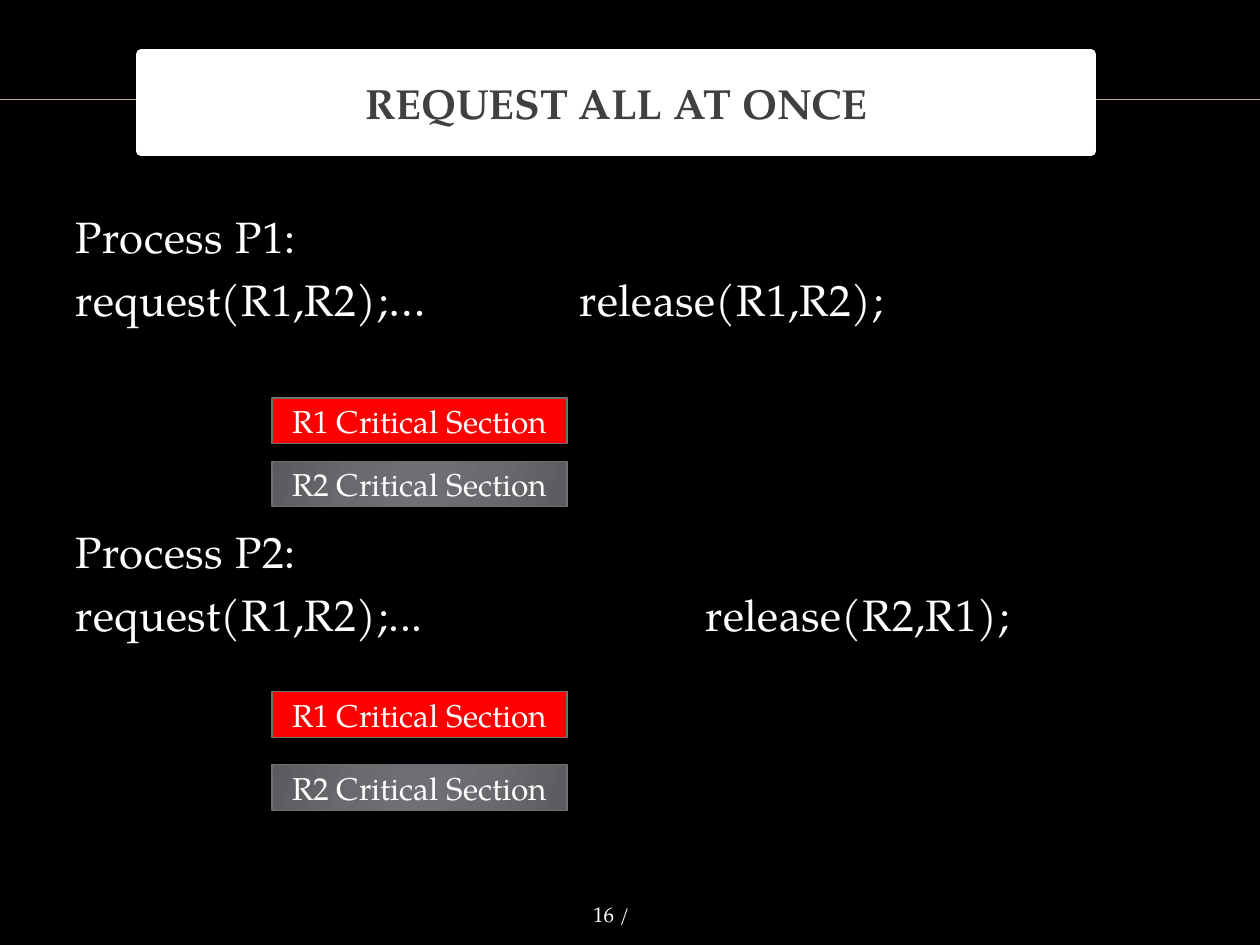
from lxml.etree import SubElement
from pptx import Presentation
from pptx.dml.color import RGBColor
from pptx.enum.shapes import MSO_CONNECTOR, MSO_SHAPE
from pptx.enum.text import MSO_ANCHOR, MSO_AUTO_SIZE, PP_ALIGN
from pptx.oxml import parse_xml
from pptx.oxml.ns import nsdecls, qn
from pptx.util import Pt

FONT = "TeX Gyre Pagella"
WHITE, RED, EDGE = "FFFFFF", "FF0000", "6F6F74"
GREY_STOPS = [(0, "5B5B5F"), (30, "6A6A6F"), (45, "6E6E75"),
              (55, "6E6E75"), (73, "6A6A6F"), (100, "5B5B5F")]


def color(hex_value):
    return RGBColor.from_string(hex_value)


def paint(shape, fill, line, width):
    shape.fill.solid()
    shape.fill.fore_color.rgb = color(fill)
    shape.line.color.rgb = color(line)
    shape.line.width = Pt(width)


def add_run(paragraph, text, size, hex_value=WHITE, bold=False):
    run = paragraph.add_run()
    run.text = text
    run.font.name = FONT
    run.font.size = Pt(size)
    run.font.bold = bold
    run.font.color.rgb = color(hex_value)
    return run


def add_text_box(slide, left, top, width, height):
    box = slide.shapes.add_textbox(Pt(left), Pt(top), Pt(width), Pt(height))
    box.text_frame.word_wrap = True
    return box.text_frame


def add_title(slide, left, top, width, height):
    # Rule across the slide, behind the title plate
    rule = slide.shapes.add_connector(
        MSO_CONNECTOR.STRAIGHT, 0, Pt(56.9), Pt(720), Pt(56.9))
    rule.line.color.rgb = color("BBAA8A")
    rule.line.width = Pt(1)
    SubElement(rule._element.spPr, qn("a:effectLst"))

    # Title plate, moved in front of the rule
    title = slide.shapes.title
    slide.shapes._spTree.append(title._element)
    title.left, title.top = Pt(left), Pt(top)
    title.width, title.height = Pt(width), Pt(height)
    paint(title, WHITE, WHITE, 6)
    frame = title.text_frame
    frame.auto_size = MSO_AUTO_SIZE.NONE
    frame.vertical_anchor = MSO_ANCHOR.MIDDLE
    paragraph = frame.paragraphs[0]
    paragraph.alignment = PP_ALIGN.CENTER
    paragraph.space_before = Pt(4)
    add_run(paragraph, "REQUEST ALL AT ONCE", 24, "404040", bold=True)


def add_section_bar(slide, text, left, top, width, height, grey):
    bar = slide.shapes.add_shape(
        MSO_SHAPE.RECTANGLE, Pt(left), Pt(top), Pt(width), Pt(height))
    paint(bar, RED, EDGE, 0.75)
    properties = bar._element.spPr
    if grey:
        stops = "".join(
            f'<a:gs pos="{pos * 1000}"><a:srgbClr val="{value}"/></a:gs>'
            for pos, value in GREY_STOPS)
        gradient = parse_xml(
            f'<a:gradFill {nsdecls("a")}><a:gsLst>{stops}</a:gsLst>'
            f'<a:lin ang="{16 * 60000}" scaled="0"/></a:gradFill>')
        properties.replace(properties.find(qn("a:solidFill")), gradient)

    # Soft shadow below the bar
    bar.shadow.inherit = False
    properties.find(qn("a:effectLst")).append(parse_xml(
        f'<a:outerShdw {nsdecls("a")} blurRad="{Pt(4)}" dist="{Pt(3.3)}" '
        'dir="5400000" rotWithShape="0"><a:srgbClr val="000000">'
        '<a:alpha val="40000"/></a:srgbClr></a:outerShdw>'))

    frame = bar.text_frame
    frame.word_wrap = False
    frame.vertical_anchor = MSO_ANCHOR.MIDDLE
    paragraph = frame.paragraphs[0]
    paragraph.alignment = PP_ALIGN.CENTER
    add_run(paragraph, text, 18)


def add_process(slide, left, top, width, lines, release_tab, bar_tops):
    # Calls, with the release set off by one tab stop
    frame = add_text_box(slide, left, top, width, 76)
    for index, text in enumerate(lines):
        paragraph = frame.add_paragraph() if index else frame.paragraphs[0]
        paragraph.space_before = Pt(6 if index else 0)
        stops = SubElement(paragraph._p.get_or_add_pPr(), qn("a:tabLst"))
        SubElement(stops, qn("a:tab"), pos=str(Pt(release_tab)), algn="l")
        run = add_run(paragraph, text, 25)
        run.font._element.set("spc", "30")

    # Critical sections, placed from the top of the process
    for number, offset in enumerate(bar_tops, start=1):
        add_section_bar(slide, f"R{number} Critical Section", left + 119.5,
                        top + offset, 168.5, 26, grey=number == 2)


def add_page_number(slide, left, top, width, height):
    frame = add_text_box(slide, left, top, width, height)
    add_run(frame.paragraphs[0], "16 / ", 12)


deck = Presentation()
deck.slide_width, deck.slide_height = Pt(720), Pt(540)
slide = deck.slides.add_slide(deck.slide_layouts[5])
slide.background.fill.solid()
slide.background.fill.fore_color.rgb = color("000000")

add_title(slide, 80.6, 31, 542.9, 55.4)
processes = [
    (["Process P1:", "request(R1,R2);…\trelease(R1,R2);"], 288, (110.9, 147)),
    (["Process P2:", "request(R1,R2);...\trelease(R2,R1);"], 360, (98.7, 140.4)),
]
for row, (lines, release_tab, bar_tops) in enumerate(processes):
    add_process(slide, 36, 116.6 + 180 * row, 648, lines, release_tab, bar_tops)
add_page_number(slide, 331.9, 511.9, 58.3, 21.6)

deck.save("out.pptx")
